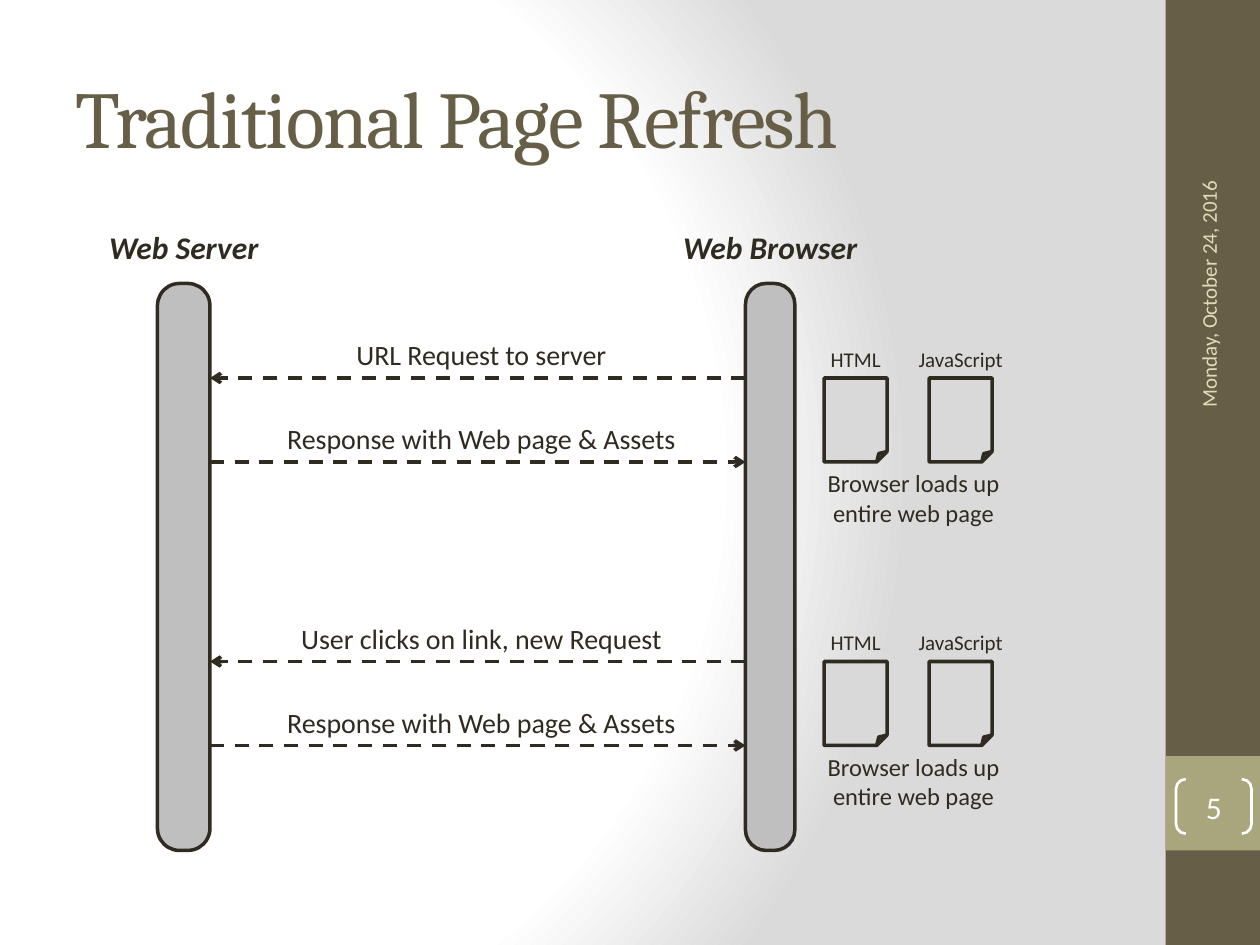
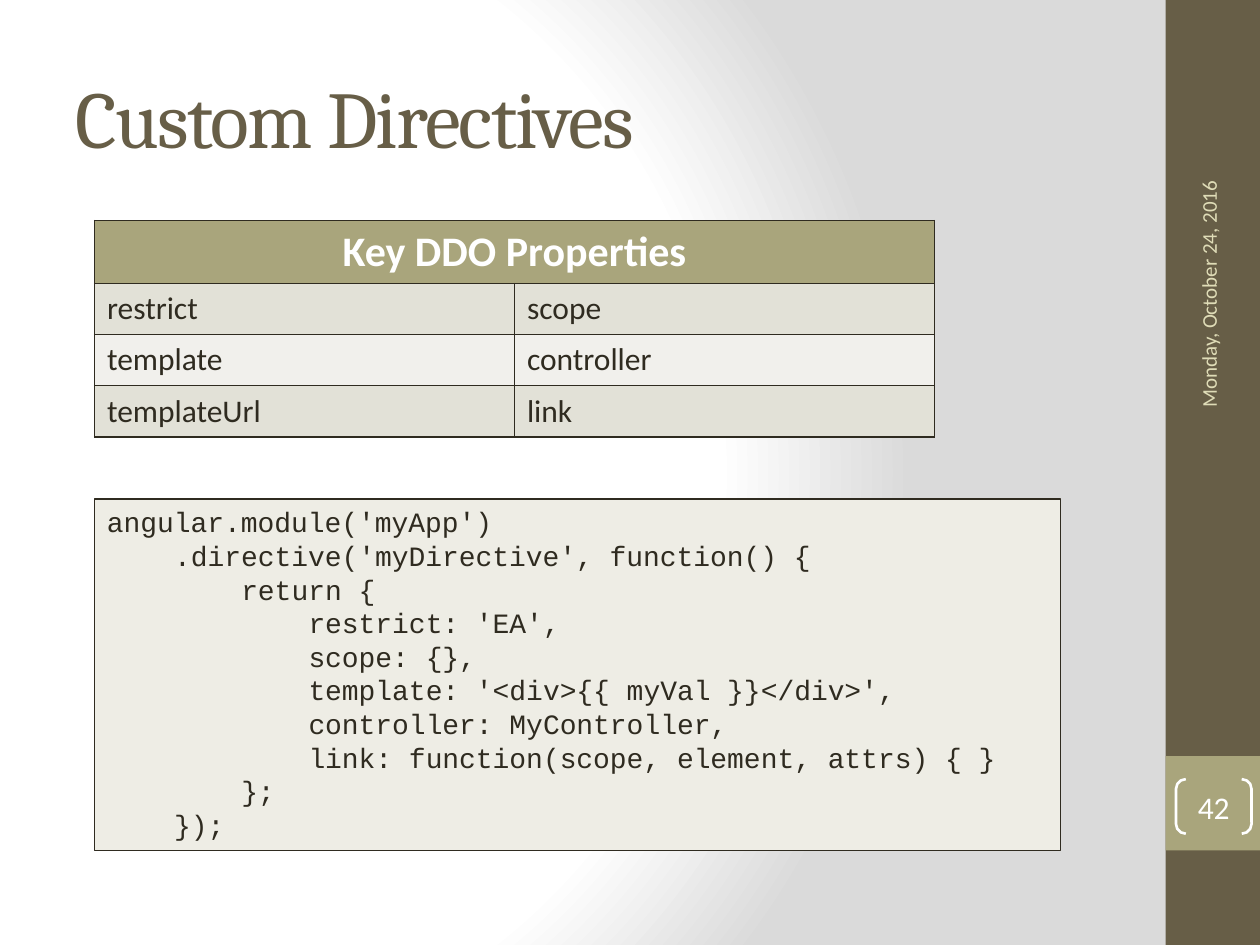
"""Build two lecture slides: a page refresh sequence and custom directives."""
from typing import NamedTuple

from lxml import etree
from pptx import Presentation
from pptx.dml.color import RGBColor
from pptx.enum.dml import MSO_LINE
from pptx.enum.shapes import MSO_CONNECTOR, MSO_SHAPE
from pptx.enum.text import MSO_ANCHOR, MSO_AUTO_SIZE, PP_ALIGN
from pptx.oxml import parse_xml
from pptx.oxml.ns import nsdecls, qn
from pptx.util import Inches, Pt

RECTANGLE, ROUNDED = MSO_SHAPE.RECTANGLE, MSO_SHAPE.ROUNDED_RECTANGLE
BRACKETS, FOLDED = MSO_SHAPE.DOUBLE_BRACKET, MSO_SHAPE.FOLDED_CORNER
STRAIGHT, DASH = MSO_CONNECTOR.STRAIGHT, MSO_LINE.DASH
LEFT, CENTER = PP_ALIGN.LEFT, PP_ALIGN.CENTER
TOP, MIDDLE = MSO_ANCHOR.TOP, MSO_ANCHOR.MIDDLE
NO_FIT, GROW = MSO_AUTO_SIZE.NONE, MSO_AUTO_SIZE.SHAPE_TO_FIT_TEXT

COLORS = {
    "ink": "2F2B20", "olive": "675E47", "sage": "A9A57C", "cream": "DFDCB7",
    "white": "FFFFFF", "mist": "DADADA", "bar": "BFBFBF", "page": "D9D9D9",
    "code": "EEEDE5", "band": "E2E1D7", "plain": "F1F0EC",
}
BODY_FONT, TITLE_FONT, CODE_FONT = "Calibri", "Cambria", "Courier New"
COLUMNS, ROWS = 120, 90
CELL = Inches(10) / COLUMNS
CODE_SIZE = 16
CODE_INDENT = Pt(4 * 0.6 * CODE_SIZE)
DATE = "Monday, October 24, 2016"

EXCHANGES = [
    ("URL Request to server", "Response with Web page & Assets"),
    ("User clicks on link, new Request", "Response with Web page & Assets"),
]
PROPERTIES = [("restrict", "scope"), ("template", "controller"), ("templateUrl", "link")]
CODE_LINES = [
    (0, "angular.module('myApp')"),
    (1, ".directive('myDirective', function() {"),
    (2, "return {"),
    (3, "restrict: 'EA',"),
    (3, "scope: {},"),
    (3, "template: '<div>{{ myVal }}</div>',"),
    (3, "controller: MyController,"),
    (3, "link: function(scope, element, attrs) { }"),
    (2, "};"),
    (1, "});"),
]


class Box(NamedTuple):
    """An area measured in grid columns and rows."""
    left: float
    top: float
    width: float
    height: float

    def inside(self, left, top, width, height):
        """Return an area offset from this one's corner."""
        return Box(self.left + left, self.top + top, width, height)

    def lengths(self):
        """Return the four lengths for python-pptx."""
        return [round(value * CELL) for value in self]


SLIDE = Box(0, 0, COLUMNS, ROWS)


def color(name):
    """Look up a named colour."""
    return RGBColor.from_string(COLORS[name])


def add_run(paragraph, text, size, ink="ink", font=BODY_FONT, bold=False, italic=False):
    """Append a formatted run."""
    run = paragraph.add_run()
    run.text = text
    run.font.name, run.font.size = font, Pt(size)
    run.font.bold, run.font.italic = bold, italic
    run.font.color.rgb = color(ink)
    return run


def add_box(slide, kind, box, fill=None, line=None, weight=2):
    """Draw a flat preset shape."""
    shape = slide.shapes.add_shape(kind, *box.lengths())
    shape.shadow.inherit = False
    if fill:
        shape.fill.solid()
        shape.fill.fore_color.rgb = color(fill)
    else:
        shape.fill.background()
    if line:
        shape.line.color.rgb = color(line)
        shape.line.width = Pt(weight)
    else:
        shape.line.fill.background()
    return shape


def add_label(slide, box, text, size, align=CENTER, fit=GROW, **style):
    """Place a one-paragraph text box."""
    label = slide.shapes.add_textbox(*box.lengths())
    frame = label.text_frame
    frame.word_wrap, frame.auto_size = True, fit
    paragraph = frame.paragraphs[0]
    paragraph.alignment = align
    add_run(paragraph, text, size, **style)
    return label


def add_message(slide, start, end, row):
    """Draw a dashed arrow along one row."""
    begin_x, end_x, y = (round(value * CELL) for value in (start, end, row))
    arrow = slide.shapes.add_connector(STRAIGHT, begin_x, y, end_x, y)
    arrow.line.color.rgb = color("ink")
    arrow.line.width, arrow.line.dash_style = Pt(2), DASH
    etree.SubElement(arrow.line._get_or_add_ln(), qn("a:tailEnd"), type="arrow")
    etree.SubElement(arrow._element.spPr, qn("a:effectLst"))


def set_background(master):
    """Give every slide the radial white-to-grey background."""
    master.background.fill.gradient()
    stops = "".join(
        f'<a:gs pos="{position}"><a:srgbClr val="{COLORS[name]}"/></a:gs>'
        for position, name in ((0, "white"), (75000, "white"), (100000, "mist")))
    gradient = parse_xml(
        f'<a:gradFill {nsdecls("a")} rotWithShape="1"><a:gsLst>{stops}</a:gsLst>'
        '<a:path path="circle"><a:fillToRect l="20000" t="50000" r="100000" b="50000"/>'
        '</a:path></a:gradFill>')
    default = master.element.find(".//" + qn("a:gradFill"))
    default.getparent().replace(default, gradient)


def add_title(slide, box, text):
    """Move and fill the title placeholder."""
    title = slide.shapes.title
    title.left, title.top, title.width, title.height = box.lengths()
    frame = title.text_frame
    frame.word_wrap, frame.auto_size, frame.vertical_anchor = True, NO_FIT, MIDDLE
    frame.paragraphs[0].alignment = LEFT
    run = add_run(frame.paragraphs[0], text, 46, "olive", TITLE_FONT)
    run.font._element.set("spc", "-100")


def add_side_band(slide, box, number):
    """Draw the band with the date and the slide number."""
    add_box(slide, RECTANGLE, box, "olive")
    add_box(slide, RECTANGLE, box.inside(0, 72, box.width, 9), "sage")
    date = add_label(slide, box.inside(-11.9, 21.6, 32, 4.8), DATE, 12,
                     align=LEFT, fit=NO_FIT, ink="cream")
    date.rotation = 270
    date.text_frame.vertical_anchor = MIDDLE
    brackets = add_box(slide, BRACKETS, box.inside(1, 74.2, 7.2, 5.2), line="white", weight=1.5)
    brackets.adjustments[0] = 0.18
    frame = brackets.text_frame
    frame.margin_left = frame.margin_right = frame.margin_top = frame.margin_bottom = 0
    frame.vertical_anchor = MIDDLE
    frame.paragraphs[0].alignment = CENTER
    add_run(frame.paragraphs[0], str(number), 18, "white")


def start_slide(presentation, title, number):
    """Add a slide with the shared title and side band."""
    slide = presentation.slides.add_slide(presentation.slide_layouts[5])
    add_title(slide, SLIDE.inside(6, 3.6, 100, 15), title)
    add_side_band(slide, SLIDE.inside(111, 0, 9, ROWS), number)
    return slide


def add_lifeline(slide, box, name):
    """Draw a vertical bar with its heading."""
    bar = add_box(slide, ROUNDED, box, "bar", "ink")
    bar.adjustments[0] = 0.42
    add_label(slide, box.inside(box.width / 2 - 10, -5.9, 20, 4.8), name, 18,
              bold=True, italic=True)


def add_loaded_page(slide, box):
    """Draw the files that arrive and the caption below them."""
    for offset, name, width in ((4.5, "HTML", 8), (14.5, "JavaScript", 11)):
        add_box(slide, FOLDED, box.inside(offset - 3, 0, 6, 8), "page", "ink")
        add_label(slide, box.inside(offset - width / 2, -3.6, width, 3.6), name, 12)
    add_label(slide, box.inside(0, 8, box.width, 6.5), "Browser loads up entire web page", 14)


def add_sequence(slide, box):
    """Draw the exchanges between server and browser."""
    server = box.inside(0, 0, 5, box.height)
    browser = box.inside(56, 0, 4.7, box.height)
    add_lifeline(slide, server, "Web Server")
    add_lifeline(slide, browser, "Web Browser")
    server_edge = server.left + server.width
    gap = browser.left - server_edge
    for index, (request, response) in enumerate(EXCHANGES):
        area = Box(server_edge, box.top + 9 + 27 * index, gap, 8)
        add_message(slide, browser.left, server_edge, area.top)
        add_message(slide, server_edge, browser.left, area.top + area.height)
        for row, text in ((0, request), (area.height, response)):
            add_label(slide, area.inside(2, row - 4.4, gap - 3.3, 4.4), text, 16)
        add_loaded_page(slide, area.inside(57, 0, 20, 8))


def style_cell(cell, text, fill, size, ink="ink", bold=False, align=LEFT):
    """Fill a table cell and outline it."""
    cell.fill.solid()
    cell.fill.fore_color.rgb = color(fill)
    cell.vertical_anchor = TOP
    properties = cell._tc.get_or_add_tcPr()
    for index, side in enumerate(("lnL", "lnR", "lnT", "lnB")):
        properties.insert(index, parse_xml(
            f'<a:{side} {nsdecls("a")} w="12700"><a:solidFill>'
            f'<a:srgbClr val="{COLORS["ink"]}"/></a:solidFill></a:{side}>'))
    paragraph = cell.text_frame.paragraphs[0]
    paragraph.alignment = align
    if text:
        add_run(paragraph, text, size, ink, bold=bold)


def add_property_table(slide, box):
    """Build the table under a merged heading."""
    heading_height = 6
    row_height = (box.height - heading_height) / len(PROPERTIES)
    table = slide.shapes.add_table(len(PROPERTIES) + 1, 2, *box.lengths()).table
    for row in table.rows:
        row.height = round(row_height * CELL)
    table.rows[0].height = round(heading_height * CELL)
    table.cell(0, 0).merge(table.cell(0, 1))
    for column, text in enumerate(("Key DDO Properties", "")):
        style_cell(table.cell(0, column), text, "sage", 24, "white", True, CENTER)
    for row, names in enumerate(PROPERTIES, start=1):
        for column, name in enumerate(names):
            style_cell(table.cell(row, column), name, "band" if row % 2 else "plain", 18)


def add_code(slide, box):
    """Draw the code panel with one paragraph per line."""
    panel = add_box(slide, RECTANGLE, box, "code", "ink", 1)
    frame = panel.text_frame
    frame.word_wrap, frame.auto_size, frame.vertical_anchor = True, GROW, TOP
    for index, (level, text) in enumerate(CODE_LINES):
        paragraph = frame.add_paragraph() if index else frame.paragraphs[0]
        paragraph.alignment = LEFT
        paragraph._p.get_or_add_pPr().set("marL", str(level * CODE_INDENT))
        add_run(paragraph, text, CODE_SIZE, font=CODE_FONT)


def main():
    """Build and save both slides."""
    presentation = Presentation()
    presentation.slide_width, presentation.slide_height = Inches(10), Inches(7.5)
    set_background(presentation.slide_master)
    refresh = start_slide(presentation, "Traditional Page Refresh", 5)
    add_sequence(refresh, SLIDE.inside(15, 27, 80, 54))
    directives = start_slide(presentation, "Custom Directives", 42)
    add_code(directives, SLIDE.inside(9, 47.5, 92, 33.5))
    add_property_table(directives, SLIDE.inside(9, 21, 80, 20.6))
    presentation.save("out.pptx")


if __name__ == "__main__":
    main()
